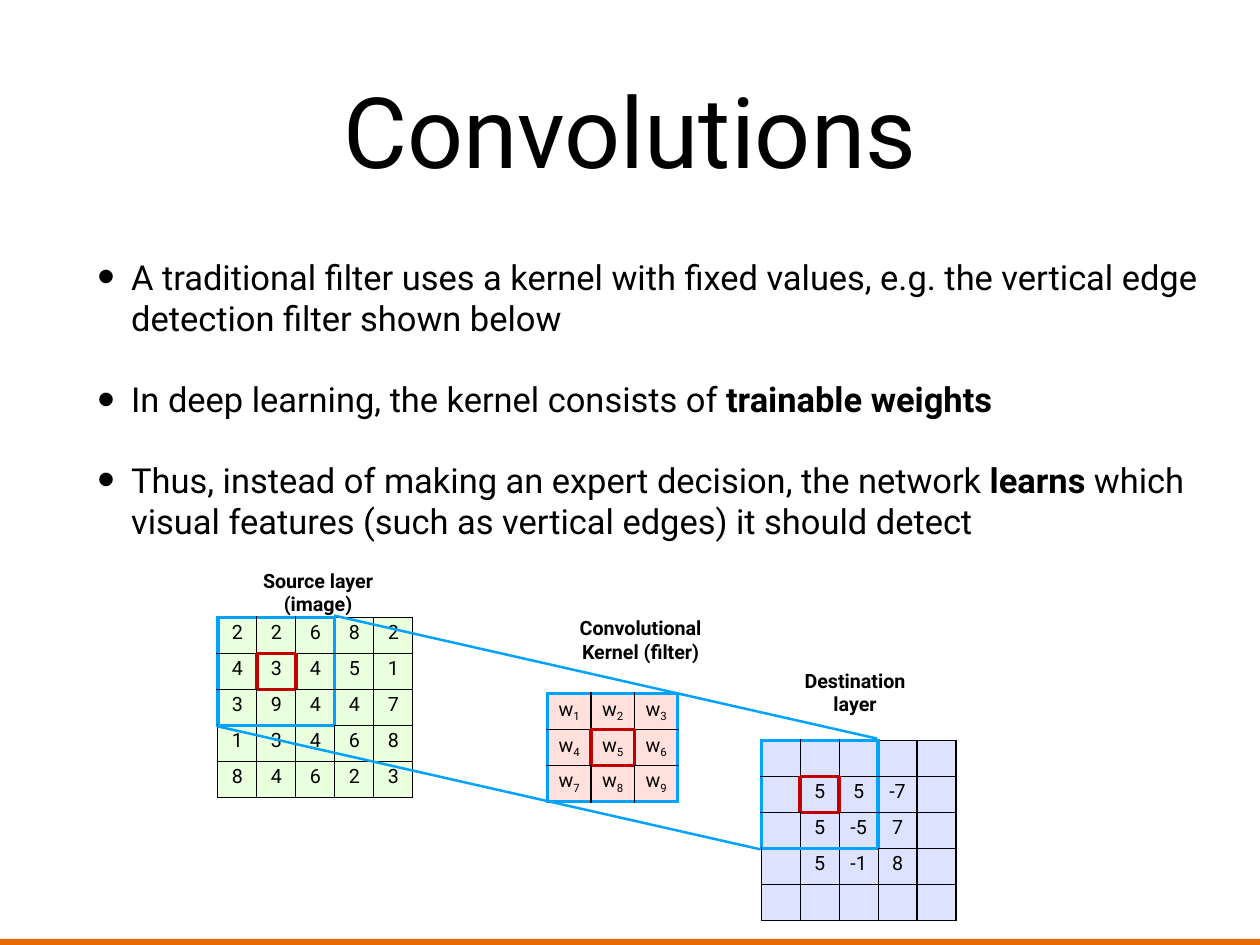
from lxml import etree
from pptx import Presentation
from pptx.dml.color import RGBColor
from pptx.enum.shapes import MSO_CONNECTOR, MSO_SHAPE
from pptx.enum.text import MSO_ANCHOR, MSO_AUTO_SIZE, PP_ALIGN
from pptx.oxml.ns import qn
from pptx.util import Inches, Pt

FONT = "Roboto"
BLACK, BLUE, RED = "000000", "00A2FF", "C00000"
WINDOW = {(row, col) for row in range(3) for col in range(3)}
CENTRE = {(1, 1)}
SIDES = {"lnL": (0, -1), "lnR": (0, 1), "lnT": (-1, 0), "lnB": (1, 0)}

BULLETS = [
    [("A traditional filter uses a kernel with fixed values, e.g. the vertical edge "
      "detection filter shown below", False)],
    [("In deep learning, the kernel consists of ", False), ("trainable weights", True)],
    [("Thus, instead of making an expert decision, the network ", False),
     ("learns", True),
     (" which visual features (such as vertical edges) it should detect", False)],
]
SOURCE = ["2 2 6 8 2".split(), "4 3 4 5 1".split(), "3 9 4 4 7".split(),
          "1 3 4 6 8".split(), "8 4 6 2 3".split()]
KERNEL = [[f"w{3 * row + col + 1}" for col in range(3)] for row in range(3)]
DESTINATION = [[""] * 5, ["", "5", "5", "-7", ""], ["", "5", "-5", "7", ""],
               ["", "5", "-1", "8", ""], [""] * 5]


def rgb(value):
    """Turn a hex string into a colour."""
    return RGBColor.from_string(value)


def set_font(font, size, bold=None):
    """Apply the slide's typeface in black."""
    font.name, font.size, font.bold = FONT, Pt(size), bold
    font.color.rgb = rgb(BLACK)


def place(sp, left, top, width, height):
    """Move and size a shape, in inches."""
    sp.left, sp.top = Inches(left), Inches(top)
    sp.width, sp.height = Inches(width), Inches(height)


def set_frame(tf):
    """Give a placeholder's text frame even insets and a fixed size."""
    tf.auto_size, tf.word_wrap = MSO_AUTO_SIZE.NONE, True
    tf.margin_left = tf.margin_right = Inches(0.06)
    tf.margin_top = tf.margin_bottom = Inches(0.06)


def fill_title(sp, text):
    """Write the centred slide title."""
    place(sp, 1.04, 0.28, 12.14, 2.36)
    tf = sp.text_frame
    set_frame(tf)
    tf.vertical_anchor = MSO_ANCHOR.MIDDLE
    p = tf.paragraphs[0]
    p.text, p.alignment = text, PP_ALIGN.CENTER
    set_font(p.font, 80)


def set_bullet(p):
    """Give a paragraph a hanging, enlarged bullet."""
    p_pr = p._p.get_or_add_pPr()
    p_pr.set("marL", str(Inches(0.38)))
    p_pr.set("indent", str(-Inches(0.38)))
    etree.SubElement(p_pr, qn("a:buSzPct")).set("val", "145000")
    etree.SubElement(p_pr, qn("a:buChar")).set("char", "•")


def fill_body(sp, items):
    """Write the bulleted list."""
    place(sp, 1.04, 2.83, 12.56, 6.88)
    tf = sp.text_frame
    set_frame(tf)
    tf.vertical_anchor = MSO_ANCHOR.TOP
    for i, runs in enumerate(items):
        p = tf.add_paragraph() if i else tf.paragraphs[0]
        p.space_before = Pt(32)
        set_bullet(p)
        set_font(p.font, 28)
        for text, bold in runs:
            r = p.add_run()
            r.text, r.font.bold = text, bold


def edge_style(cell, neighbour):
    """Choose the colour and width of the border between two grid positions."""
    for region, colour in ((CENTRE, RED), (WINDOW, BLUE)):
        if (cell in region) != (neighbour in region):
            return colour, 3
    return BLACK, 1


def set_borders(cell, row, col):
    """Draw the four borders of a cell."""
    tc_pr = cell._tc.get_or_add_tcPr()
    for tag, (down, right) in SIDES.items():
        colour, width = edge_style((row, col), (row + down, col + right))
        ln = etree.SubElement(tc_pr, qn(f"a:{tag}"), w=str(Pt(width)))
        fill = etree.SubElement(ln, qn("a:solidFill"))
        etree.SubElement(fill, qn("a:srgbClr")).set("val", colour)


def write_cell(cell, text):
    """Write a number, or a weight with its subscript index."""
    p = cell.text_frame.paragraphs[0]
    p.alignment = PP_ALIGN.CENTER
    set_font(p.font, 16)
    if text.startswith("w"):
        p.add_run().text = "w"
        r = p.add_run()
        r.text = text[1:]
        r._r.get_or_add_rPr().set("baseline", "-25000")
    elif text:
        p.add_run().text = text


def add_grid(slide, left, top, col_width, values, colour):
    """Add a layer or kernel as a table with its window outlined."""
    rows, cols, row_height = len(values), len(values[0]), 0.406
    table = slide.shapes.add_table(
        rows, cols, Inches(left), Inches(top),
        Inches(cols * col_width), Inches(rows * row_height)).table
    table.first_row = table.horz_banding = False
    for row, line in enumerate(values):
        for col, text in enumerate(line):
            cell = table.cell(row, col)
            set_borders(cell, row, col)
            cell.fill.solid()
            cell.fill.fore_color.rgb = rgb(colour)
            write_cell(cell, text)


def add_projection(slide, x1, y1, x2, y2):
    """Add a blue line from the source window to the destination window."""
    cx = slide.shapes.add_connector(
        MSO_CONNECTOR.STRAIGHT, Inches(x1), Inches(y1), Inches(x2), Inches(y2))
    cx.line.color.rgb, cx.line.width = rgb(BLUE), Pt(2)
    etree.SubElement(cx._element.spPr, qn("a:effectLst"))


def add_caption(slide, left, top, width, height, lines):
    """Add a bold centred caption."""
    sp = slide.shapes.add_textbox(
        Inches(left), Inches(top), Inches(width), Inches(height))
    tf = sp.text_frame
    tf.word_wrap = False
    for i, text in enumerate(lines):
        p = tf.add_paragraph() if i else tf.paragraphs[0]
        p.text, p.alignment = text, PP_ALIGN.CENTER
        set_font(p.font, 16, True)


def add_footer_bar(slide):
    """Add the orange bar along the bottom edge."""
    sp = slide.shapes.add_shape(
        MSO_SHAPE.RECTANGLE, 0, Inches(10.6), Inches(14.22), Inches(0.07))
    sp.shadow.inherit = False
    sp.fill.solid()
    sp.fill.fore_color.rgb = rgb("E76A01")
    sp.line.fill.background()


def main():
    """Build the slide and save it."""
    prs = Presentation()
    prs.slide_width, prs.slide_height = Inches(14.22), Inches(10.67)
    slide = prs.slides.add_slide(prs.slide_layouts[1])
    add_footer_bar(slide)
    fill_title(slide.shapes.title, "Convolutions")
    fill_body(slide.placeholders[1], BULLETS)
    add_grid(slide, 2.46, 6.97, 0.44, SOURCE, "E9FFDD")
    add_projection(slide, 3.77, 6.95, 9.9, 8.34)
    add_projection(slide, 2.45, 8.2, 8.58, 9.59)
    add_grid(slide, 8.59, 8.36, 0.44, DESTINATION, "DDE3FF")
    add_grid(slide, 6.18, 7.83, 0.49, KERNEL, "FFE0DC")
    add_caption(slide, 2.46, 6.37, 2.26, 0.37, ["Source layer (image)"])
    add_caption(slide, 8.72, 7.5, 1.86, 0.4, ["Destination layer"])
    add_caption(slide, 6.38, 6.91, 1.7, 0.64, ["Convolutional", "Kernel (filter)"])
    prs.save("out.pptx")


if __name__ == "__main__":
    main()
